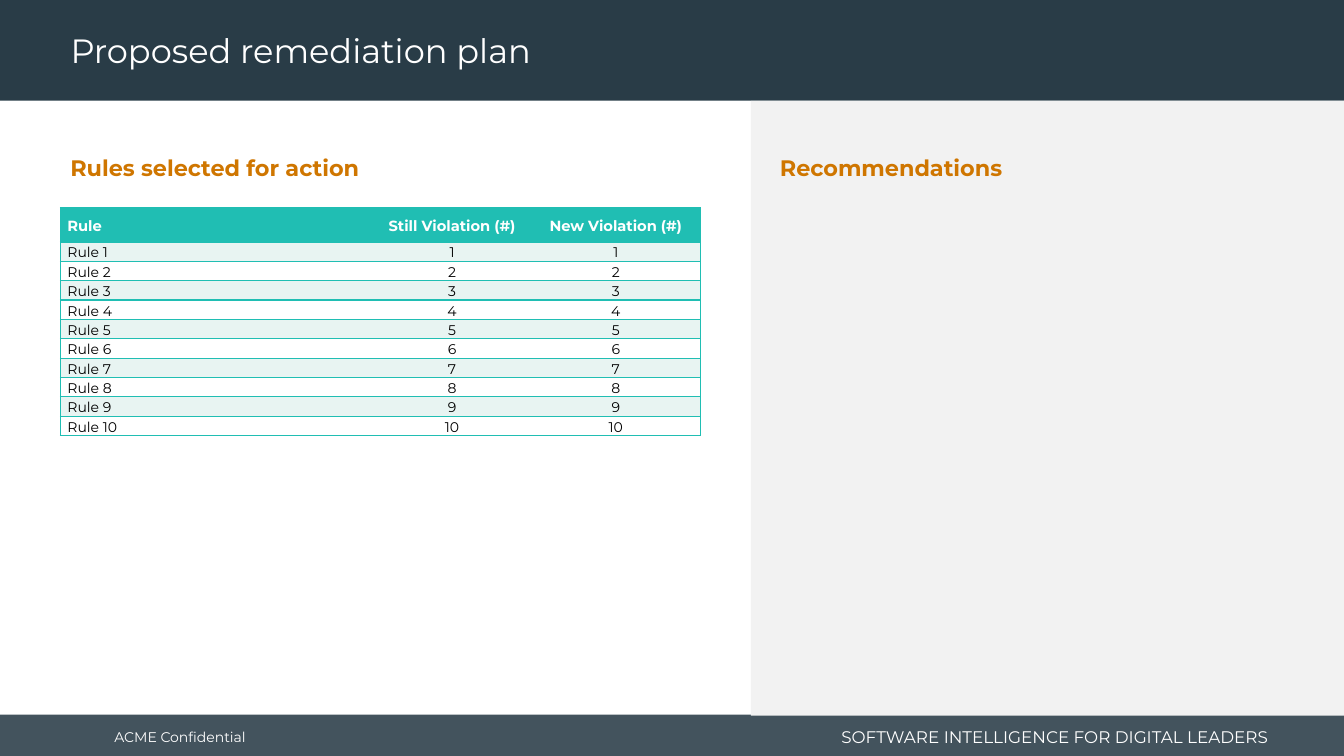
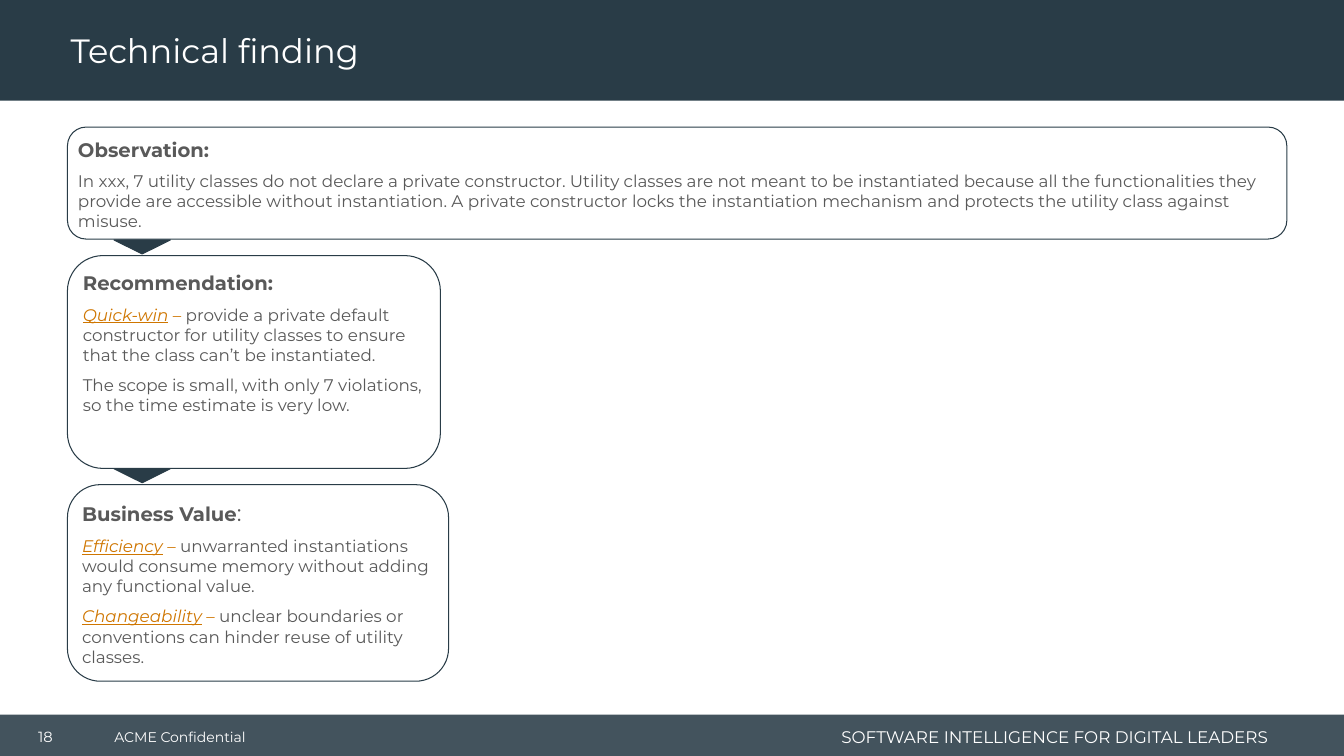
from lxml.etree import SubElement
from pptx import Presentation
from pptx.dml.color import RGBColor
from pptx.enum.shapes import MSO_SHAPE, PP_PLACEHOLDER
from pptx.enum.text import MSO_ANCHOR, MSO_AUTO_SIZE, PP_ALIGN
from pptx.oxml.ns import qn
from pptx.util import Pt

FONT = "Montserrat"
NAVY = "293C47"
WHITE = "FFFFFF"
BLACK = "000000"
PANEL_GRAY = "F2F2F2"
TEXT_GRAY = "595959"
ORANGE = "CF7600"
TEAL = "20BEB3"
MINT = "E8F4F2"
NO_GRID_STYLE = "{2D5ABB26-0587-4C30-8999-92F81FD0307C}"

SLIDE_WIDTH, SLIDE_HEIGHT = 960, 540
TITLE_BAND_HEIGHT = 72
FOOTER_TOP = 510.5
MARGIN = 43.2
CARD_LEFT = 48.2


def paint(color_format, color):
    color_format.rgb = RGBColor.from_string(color)


def fill_solid(target, color):
    target.fill.solid()
    paint(target.fill.fore_color, color)


def set_font(font, size=None, color=None, bold=None):
    font.name = FONT
    if size:
        font.size = Pt(size)
    if color:
        paint(font.color, color)
    if bold is not None:
        font.bold = bold


def add_block(page, kind, left, top, width, height, color, outline=None):
    box = page.shapes.add_shape(kind, Pt(left), Pt(top), Pt(width), Pt(height))
    box.shadow.inherit = False
    fill_solid(box, color)
    if outline:
        paint(box.line.color, outline)
        box.line.width = Pt(0.75)
    else:
        box.line.fill.background()
    return box


def add_label(page, text, left, top, width, height, size, color=WHITE,
              bold=False, align=PP_ALIGN.LEFT, anchor=MSO_ANCHOR.MIDDLE):
    box = page.shapes.add_textbox(Pt(left), Pt(top), Pt(width), Pt(height))
    box.text_frame.word_wrap = True
    box.text_frame.vertical_anchor = anchor
    para = box.text_frame.paragraphs[0]
    para.text = text
    para.alignment = align
    set_font(para.font, size, color, bold)
    return box


def add_heading(page, text, left):
    add_label(page, text, left, 106.5, 261, 26.6, 16, ORANGE, True,
              anchor=MSO_ANCHOR.TOP)


def set_title(page, text):
    title = page.shapes.title
    title.left, title.top = Pt(MARGIN), Pt(3)
    title.width, title.height = Pt(690), Pt(69)
    frame = title.text_frame
    frame.auto_size = MSO_AUTO_SIZE.NONE
    frame.vertical_anchor = MSO_ANCHOR.MIDDLE
    para = frame.paragraphs[0]
    para.text = text
    para.alignment = PP_ALIGN.LEFT
    para.line_spacing = 0.9
    set_font(para.font, 24, WHITE)


def dress_layout(layout, page):
    for holder in list(layout.placeholders):
        if holder.placeholder_format.type != PP_PLACEHOLDER.TITLE:
            holder.element.getparent().remove(holder.element)
    footer = add_block(page, MSO_SHAPE.RECTANGLE, 0, FOOTER_TOP,
                       SLIDE_WIDTH, SLIDE_HEIGHT - FOOTER_TOP, NAVY)
    shade = footer.element.spPr.find(qn("a:solidFill"))[0]
    SubElement(shade, qn("a:alpha"), val="88000")
    shared = [
        footer,
        add_block(page, MSO_SHAPE.RECTANGLE, 0, 0, SLIDE_WIDTH,
                  TITLE_BAND_HEIGHT, NAVY),
        add_label(page, "ACME Confidential", 74.6, 512, 150, 29, 10),
        add_label(page, "SOFTWARE INTELLIGENCE FOR DIGITAL LEADERS",
                  573, 515, 340, 23, 12, align=PP_ALIGN.RIGHT),
    ]
    for position, box in enumerate(shared, 2):
        layout.shapes.element.insert(position, box.element)


def set_borders(cell, sides):
    properties = cell._tc.get_or_add_tcPr()
    for position, side in enumerate(sides):
        line = properties.makeelement(qn("a:ln" + side), {"w": str(Pt(1))})
        fill = SubElement(line, qn("a:solidFill"))
        SubElement(fill, qn("a:srgbClr"), val=TEAL)
        properties.insert(position, line)


def fill_cell(cell, text, column, is_header, color):
    cell.margin_left = cell.margin_right = Pt(5)
    cell.margin_top = cell.margin_bottom = 0
    cell.vertical_anchor = MSO_ANCHOR.MIDDLE
    para = cell.text_frame.paragraphs[0]
    para.text = text
    para.line_spacing = 1.15
    para.alignment = PP_ALIGN.CENTER if column else PP_ALIGN.LEFT
    if is_header:
        set_font(para.font, 10.5, WHITE, True)
    else:
        set_font(para.font, 10, BLACK, False)
    fill_solid(cell, color)
    set_borders(cell, ("LTB", "TB", "RTB")[column])


def add_rule_table(page, rows):
    widths = (223.2, 113, 121)
    heights = [24.5] + [13.8] * (len(rows) - 1)
    graphic = page.shapes.add_table(
        len(rows), len(widths), Pt(MARGIN), Pt(148.3),
        Pt(sum(widths)), Pt(sum(heights)))
    graphic.element.xpath(".//a:tableStyleId")[0].text = NO_GRID_STYLE
    table = graphic.table
    table.horz_banding = False
    for column, width in zip(table.columns, widths):
        column.width = Pt(width)
    for index, values in enumerate(rows):
        table.rows[index].height = Pt(heights[index])
        color = TEAL if index == 0 else (WHITE, MINT)[index % 2]
        for column, value in enumerate(values):
            fill_cell(table.cell(index, column), value, column,
                      index == 0, color)


def start_para(frame, is_first):
    para = frame.paragraphs[0] if is_first else frame.add_paragraph()
    para.alignment = PP_ALIGN.LEFT
    para.space_before, para.space_after = Pt(3), Pt(4)
    return para


def add_span(para, text, color):
    span = para.add_run()
    span.text = text
    set_font(span.font, color=color)
    return span


def add_card(page, heading, top, width, height, body):
    box = add_block(page, MSO_SHAPE.ROUNDED_RECTANGLE, CARD_LEFT, top,
                    width, height, WHITE, NAVY)
    frame = box.text_frame
    frame.word_wrap = True
    frame.vertical_anchor = MSO_ANCHOR.TOP
    frame.margin_left = frame.margin_right = Pt(3.6)
    frame.margin_top = frame.margin_bottom = Pt(3.6)
    para = start_para(frame, True)
    para.text = heading
    set_font(para.font, 14, TEXT_GRAY, True)
    for term, dash_color, text in body:
        para = start_para(frame, False)
        set_font(para.font, 12, TEXT_GRAY, False)
        if term:
            span = add_span(para, term, ORANGE)
            span.font.italic = span.font.underline = True
            add_span(para, " – ", dash_color)
        add_span(para, text, TEXT_GRAY)
    return box


def add_pointer(page, top):
    pointer = add_block(page, MSO_SHAPE.ISOSCELES_TRIANGLE, 81.4, top,
                        40.3, 10, NAVY, NAVY)
    pointer.rotation = 180


def build_plan(page):
    set_title(page, "Proposed remediation plan")
    add_block(page, MSO_SHAPE.RECTANGLE, 536.4, TITLE_BAND_HEIGHT,
              SLIDE_WIDTH - 536.4, 439.2, PANEL_GRAY)
    add_heading(page, "Rules selected for action", MARGIN)
    rows = [("Rule", "Still Violation (#)", "New Violation (#)")]
    rows += [(f"Rule {number}", str(number), str(number))
             for number in range(1, 11)]
    add_rule_table(page, rows)
    add_heading(page, "Recommendations", 550)


def build_finding(page):
    set_title(page, "Technical finding")
    add_label(page, "18", 6.5, 512, 52, 29, 10.5, align=PP_ALIGN.CENTER)
    add_card(page, "Observation:", 90.8, 871, 80, [
        (None, None,
         "In xxx, 7 utility classes do not declare a private constructor. "
         "Utility classes are not meant to be instantiated because all the "
         "functionalities they provide are accessible without instantiation. "
         "A private constructor locks the instantiation mechanism and "
         "protects the utility class against misuse."),
    ])
    add_card(page, "Recommendation:", 182.6, 266.4, 152, [
        ("Quick-win", ORANGE,
         "provide a private default constructor for utility classes to "
         "ensure that the class can’t be instantiated."),
        (None, None,
         "The scope is small, with only 7 violations, so the time estimate "
         "is very low."),
    ])
    value = add_card(page, "Business Value", 346.2, 272.2, 140.4, [
        ("Efficiency", ORANGE,
         "unwarranted instantiations would consume memory without adding "
         "any functional value."),
        ("Changeability", ORANGE,
         "unclear boundaries or conventions can hinder reuse of utility "
         "classes."),
    ])
    colon = add_span(value.text_frame.paragraphs[0], ":", TEXT_GRAY)
    set_font(colon.font, 16, bold=False)
    for top in (171.4, 334.8):
        add_pointer(page, top)


def main():
    deck = Presentation()
    deck.slide_width, deck.slide_height = Pt(SLIDE_WIDTH), Pt(SLIDE_HEIGHT)
    layout = deck.slide_layouts[5]
    plan = deck.slides.add_slide(layout)
    dress_layout(layout, plan)
    build_plan(plan)
    build_finding(deck.slides.add_slide(layout))
    deck.save("out.pptx")


if __name__ == "__main__":
    main()
